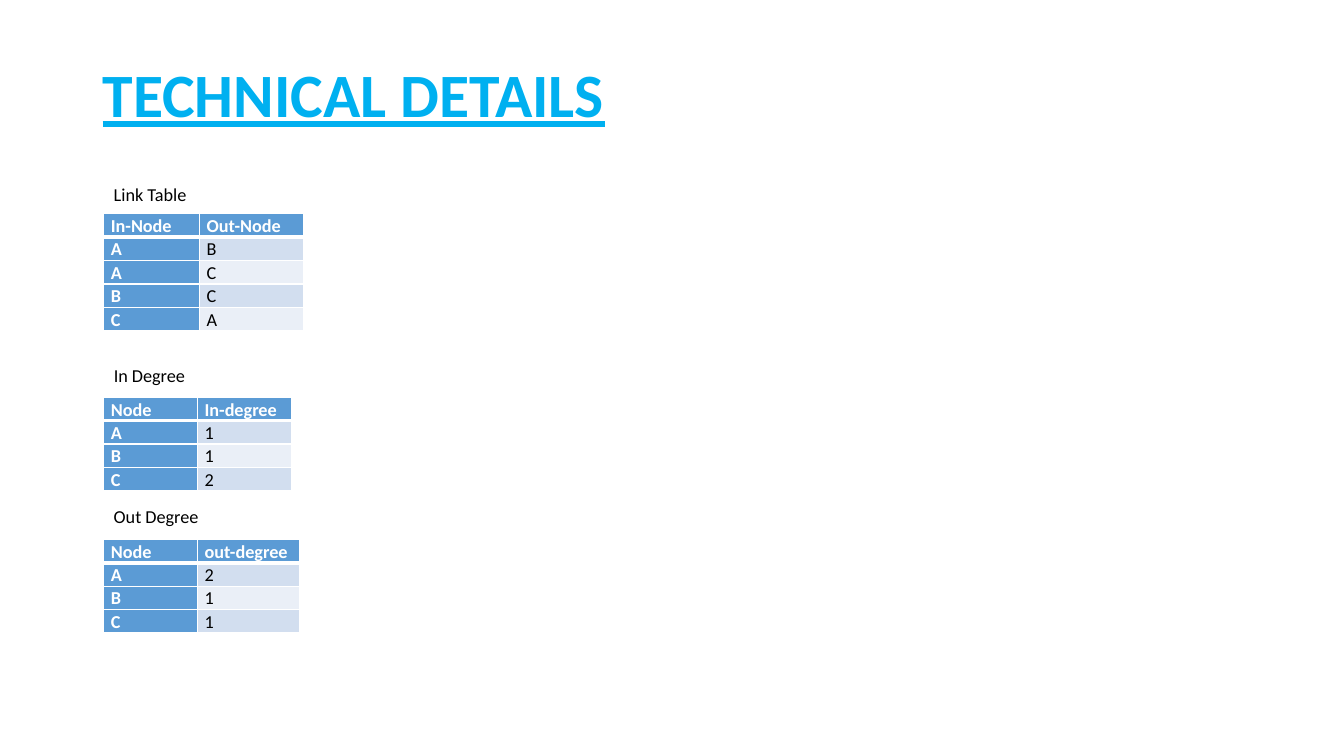
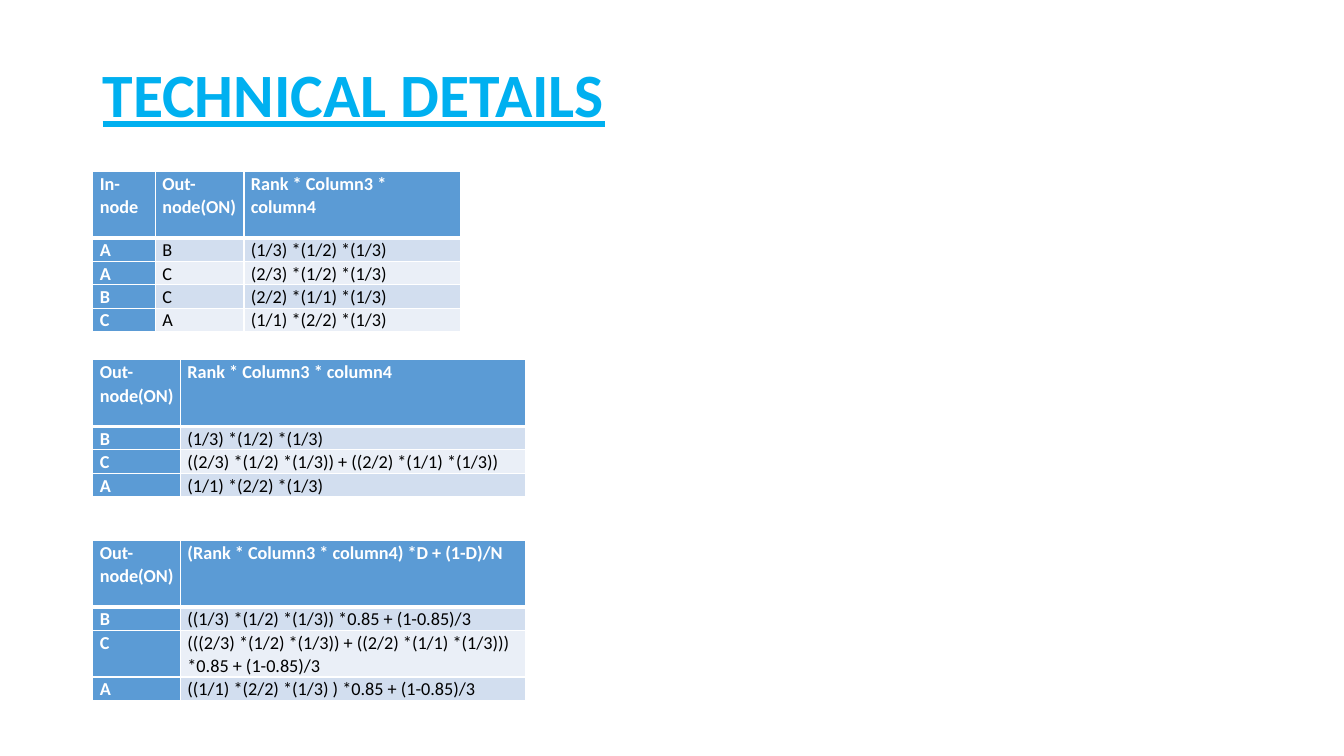
from lxml.etree import SubElement
from pptx import Presentation
from pptx.dml.color import RGBColor
from pptx.enum.text import MSO_ANCHOR, MSO_AUTO_SIZE
from pptx.oxml.ns import qn
from pptx.util import Inches, Pt

FONT = "Calibri"
BODY_SIZE = Pt(13)
TITLE_BLUE = RGBColor(0x00, 0xB0, 0xF0)
HEADER_BLUE = RGBColor(0x5B, 0x9B, 0xD5)
BANDS = (RGBColor(0xD2, 0xDE, 0xEF), RGBColor(0xEA, 0xEF, 0xF7))
WHITE = RGBColor(0xFF, 0xFF, 0xFF)
BLACK = RGBColor(0x00, 0x00, 0x00)
LINE_HEIGHT = 0.22
LABEL_LEFT = 1.03
TABLE_LEFT = 0.92

DEGREE_TABLES = [
    ("Link Table", 0.93, 1.77, 2.12, (0.95, 1.03),
     [("In-Node", "Out-Node"), ("A", "B"), ("A", "C"), ("B", "C"), ("C", "A")]),
    ("In Degree", 0.92, 3.56, 3.94, (0.93, 0.93),
     [("Node", "In-degree"), ("A", "1"), ("B", "1"), ("C", "2")]),
    ("Out Degree", 1.06, 4.96, 5.35, (0.93, 1.01),
     [("Node", "out-degree"), ("A", "2"), ("B", "1"), ("C", "1")]),
]

RANK_TABLES = [
    (1.7, (0.62, 0.88, 2.15), (3, 1, 1, 1, 1),
     [("In-node", "Out-node(ON)", "Rank * Column3 * column4"),
      ("A", "B", "(1/3) *(1/2) *(1/3)"),
      ("A", "C", "(2/3) *(1/2) *(1/3)"),
      ("B", "C", "(2/2) *(1/1) *(1/3)"),
      ("C", "A", "(1/1) *(2/2) *(1/3)")]),
    (3.57, (0.87, 3.42), (3, 1, 1, 1),
     [("Out-node(ON)", "Rank * Column3 * column4"),
      ("B", "(1/3) *(1/2) *(1/3)"),
      ("C", "((2/3) *(1/2) *(1/3)) + ((2/2) *(1/1) *(1/3))"),
      ("A", "(1/1) *(2/2) *(1/3)")]),
    (5.36, (0.87, 3.42), (3, 1, 2, 1),
     [("Out-node(ON)", "(Rank * Column3 * column4) *D + (1-D)/N"),
      ("B", "((1/3) *(1/2) *(1/3)) *0.85 + (1-0.85)/3"),
      ("C", "(((2/3) *(1/2) *(1/3)) + ((2/2) *(1/1) *(1/3))) *0.85 + (1-0.85)/3"),
      ("A", "((1/1) *(2/2) *(1/3) ) *0.85 + (1-0.85)/3")]),
]


def set_text(frame, text, size, color, bold=False, spacing=None):
    paragraph = frame.paragraphs[0]
    paragraph.text = text
    paragraph.line_spacing = spacing
    font = paragraph.font
    font.name, font.size, font.bold = FONT, size, bold
    font.color.rgb = color
    return paragraph


def add_title(slide, text):
    title = slide.shapes.add_textbox(Inches(0.92), Inches(0.4), Inches(11.5), Inches(1.14))
    frame = title.text_frame
    frame.word_wrap = True
    frame.vertical_anchor = MSO_ANCHOR.MIDDLE
    set_text(frame, text, Pt(44), TITLE_BLUE, True, 0.9).font.underline = True


def add_label(slide, left, top, width, text):
    label = slide.shapes.add_textbox(Inches(left), Inches(top), Inches(width), Inches(0.32))
    frame = label.text_frame
    frame.word_wrap = False
    frame.auto_size = MSO_AUTO_SIZE.SHAPE_TO_FIT_TEXT
    frame.vertical_anchor = MSO_ANCHOR.MIDDLE
    set_text(frame, text, BODY_SIZE, BLACK)


def set_borders(cell, row):
    widths = {"L": 1, "R": 1, "T": 3 if row == 1 else 1, "B": 3 if row == 0 else 1}
    properties = cell._tc.get_or_add_tcPr()
    for side, width in widths.items():
        line = SubElement(properties, qn(f"a:ln{side}"), w=str(Pt(width)))
        fill = SubElement(line, qn("a:solidFill"))
        SubElement(fill, qn("a:srgbClr"), val=str(WHITE))


def style_cell(cell, row, column, text):
    heading = row == 0 or column == 0
    cell.margin_left = cell.margin_right = Inches(0.07)
    cell.margin_top = cell.margin_bottom = 0
    set_borders(cell, row)
    cell.fill.solid()
    cell.fill.fore_color.rgb = HEADER_BLUE if heading else BANDS[(row - 1) % 2]
    set_text(cell.text_frame, text, BODY_SIZE, WHITE if heading else BLACK, heading, 1.07)


def add_node_table(slide, left, top, widths, line_counts, rows):
    table = slide.shapes.add_table(
        len(rows), len(widths), Inches(left), Inches(top),
        Inches(sum(widths)), Inches(LINE_HEIGHT * sum(line_counts))).table
    for column, width in zip(table.columns, widths):
        column.width = Inches(width)
    for row, lines in zip(table.rows, line_counts):
        row.height = Inches(LINE_HEIGHT * lines)
    for r, values in enumerate(rows):
        for c, value in enumerate(values):
            style_cell(table.cell(r, c), r, c, value)


def add_details_slide(deck):
    slide = deck.slides.add_slide(deck.slide_layouts[6])
    add_title(slide, "TECHNICAL DETAILS")
    return slide


def build_degree_slide(deck):
    slide = add_details_slide(deck)
    for label, label_width, label_top, top, widths, rows in DEGREE_TABLES:
        add_label(slide, LABEL_LEFT, label_top, label_width, label)
        add_node_table(slide, LABEL_LEFT, top, widths, [1] * len(rows), rows)


def build_rank_slide(deck):
    slide = add_details_slide(deck)
    for top, widths, line_counts, rows in RANK_TABLES:
        add_node_table(slide, TABLE_LEFT, top, widths, line_counts, rows)


def main():
    deck = Presentation()
    deck.slide_width, deck.slide_height = Inches(13.33), Inches(7.5)
    build_degree_slide(deck)
    build_rank_slide(deck)
    deck.save("out.pptx")


if __name__ == "__main__":
    main()
